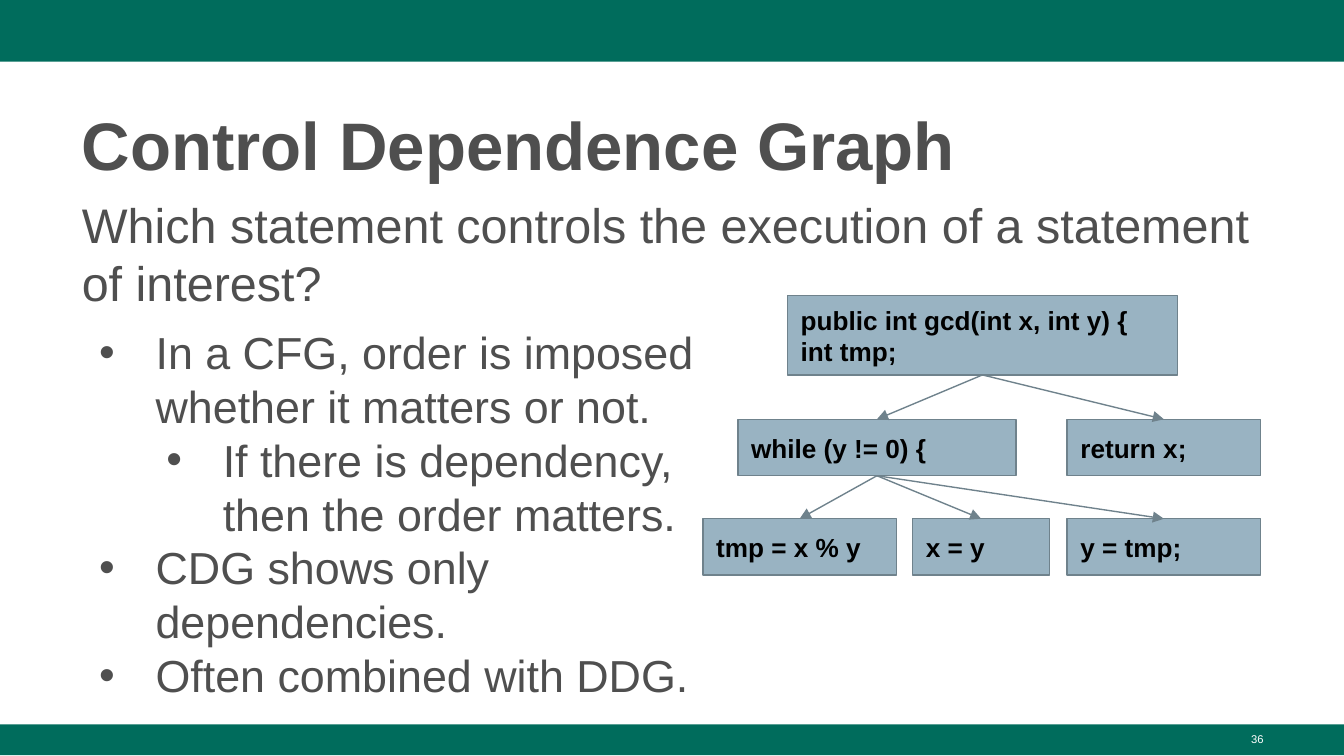
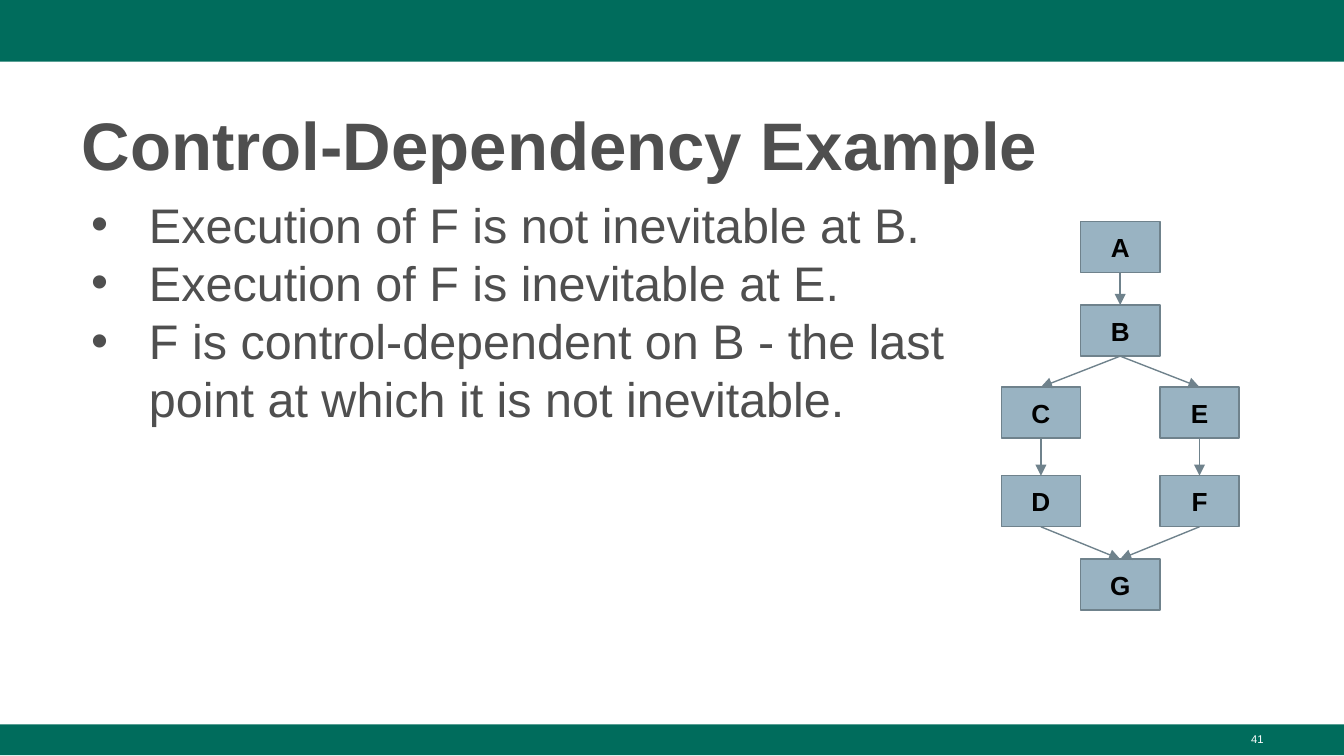
from lxml.etree import SubElement
from pptx import Presentation
from pptx.dml.color import RGBColor
from pptx.enum.shapes import MSO_CONNECTOR as Connector, MSO_SHAPE as Shape
from pptx.enum.text import MSO_ANCHOR as Anchor, MSO_AUTO_SIZE as AutoSize, PP_ALIGN as Align
from pptx.oxml.ns import qn
from pptx.util import Inches, Pt

FONT = "Arial"
GREEN = "006C5C"
GREY = "4F4F4F"
NODE_FILL = "99B3C2"
NODE_LINE = "6F828C"
BLACK = "000000"
WHITE = "FFFFFF"
TITLE_ONLY = 5
SLIDE_WIDTH = 10
SLIDE_HEIGHT = SLIDE_WIDTH * 9 / 16
BANDS = [(0, 0.46), (5.39, 0.23)]
TEXT_LEFT = 0.51
TEXT_TOP = 1.4
TEXT_WIDTH = 8.99
BOTTOM, TOP = 2, 0


def color(value):
    return RGBColor.from_string(value)


def box(left, top, width, height):
    return [Inches(value) for value in (left, top, width, height)]


def style_paragraph(paragraph, size, font_color, bold=False, align=Align.LEFT):
    paragraph.alignment = align
    font = paragraph.font
    font.name = FONT
    font.size = Pt(size)
    font.bold = bold
    font.color.rgb = color(font_color)


def add_bullet(paragraph, left, hanging):
    properties = paragraph._p.get_or_add_pPr()
    properties.set("marL", str(Inches(left)))
    properties.set("indent", str(-Inches(hanging)))
    bullet_color = SubElement(properties, qn("a:buClr"))
    SubElement(bullet_color, qn("a:srgbClr"), val=GREY)
    SubElement(properties, qn("a:buFont"), typeface=FONT)
    SubElement(properties, qn("a:buChar"), char="•")


def add_rectangle(slide, position, fill):
    shape = slide.shapes.add_shape(Shape.RECTANGLE, *box(*position))
    shape.shadow.inherit = False
    shape.fill.solid()
    shape.fill.fore_color.rgb = color(fill)
    shape.line.fill.background()
    return shape


def add_text(slide, position, items, size, font_color=GREY, align=Align.LEFT, hanging=None):
    frame = slide.shapes.add_textbox(*box(*position)).text_frame
    frame.word_wrap = True
    for index, (level, text) in enumerate(items):
        paragraph = frame.add_paragraph() if index else frame.paragraphs[0]
        paragraph.text = text
        paragraph.level = level
        if hanging:
            add_bullet(paragraph, 0.5 * (level + 1), hanging)
        style_paragraph(paragraph, size, font_color, align=align)


def add_slide(presentation, title_text, number):
    slide = presentation.slides.add_slide(presentation.slide_layouts[TITLE_ONLY])
    for top, height in BANDS:
        add_rectangle(slide, (0, top, SLIDE_WIDTH, height), GREEN)
    title = slide.shapes.title
    title.left, title.top, title.width, title.height = box(TEXT_LEFT, 0.67, TEXT_WIDTH, 0.73)
    frame = title.text_frame
    frame.text = title_text
    frame.auto_size = AutoSize.NONE
    frame.vertical_anchor = Anchor.BOTTOM
    frame.margin_bottom = Inches(0.03)
    paragraph = frame.paragraphs[0]
    paragraph.line_spacing = 1.08
    style_paragraph(paragraph, 36, GREY, bold=True)
    add_text(slide, (7.17, 5.4, 2.33, 0.23), [(0, str(number))], 6, WHITE, Align.RIGHT)
    return slide


def add_node(slide, text, position, align):
    node = add_rectangle(slide, position, NODE_FILL)
    node.line.color.rgb = color(NODE_LINE)
    node.line.width = Pt(0.75)
    frame = node.text_frame
    frame.word_wrap = True
    frame.vertical_anchor = Anchor.MIDDLE
    frame.margin_left = frame.margin_right = Inches(0.1)
    frame.margin_top = frame.margin_bottom = Inches(0.1)
    frame.text = text
    for paragraph in frame.paragraphs:
        style_paragraph(paragraph, 14, BLACK, bold=True, align=align)
    return node


def add_arrow(slide, source, target):
    arrow = slide.shapes.add_connector(Connector.STRAIGHT, 0, 0, 0, 0)
    arrow.begin_connect(source, BOTTOM)
    arrow.end_connect(target, TOP)
    arrow.line.color.rgb = color(NODE_LINE)
    arrow.line.width = Pt(0.75)
    SubElement(arrow.line._get_or_add_ln(), qn("a:tailEnd"), type="triangle")
    SubElement(arrow._element.spPr, qn("a:effectLst"))


def add_graph(slide, nodes, edges, align):
    shapes = {name: add_node(slide, text, position, align)
              for name, (text, position) in nodes.items()}
    for source, target in edges:
        add_arrow(slide, shapes[source], shapes[target])


def build_dependence_graph(presentation):
    slide = add_slide(presentation, "Control Dependence Graph", 36)
    question = "Which statement controls the execution of a statement of interest?"
    add_text(slide, (TEXT_LEFT, TEXT_TOP, TEXT_WIDTH, 3.81), [(0, question)], 26)
    points = [
        (0, "In a CFG, order is imposed whether it matters or not."),
        (1, "If there is dependency, \vthen the order matters."),
        (0, "CDG shows only dependencies."),
        (0, "Often combined with DDG."),
    ]
    add_text(slide, (0.56, 2.37, 5, 2.38), points, 24, hanging=0.42)
    height, middle, low, right = 0.42, 3.12, 3.86, 7.94
    nodes = {
        "entry": ("public int gcd(int x, int y) {\nint tmp;", (5.86, 2.2, 2.9, 0.59)),
        "modulo": ("tmp = x % y", (5.23, low, 1.44, height)),
        "set y": ("y = tmp;", (right, low, 1.44, height)),
        "while": ("while (y != 0) {", (5.49, middle, 2.07, height)),
        "set x": ("x = y", (6.79, low, 1.02, height)),
        "return": ("return x;", (right, middle, 1.44, height)),
    }
    edges = [("entry", "return"), ("entry", "while"), ("while", "modulo"),
             ("while", "set x"), ("while", "set y")]
    add_graph(slide, nodes, edges, Align.LEFT)


def build_dependency_example(presentation):
    slide = add_slide(presentation, "Control-Dependency Example", 41)
    points = [
        (0, "Execution of F is not inevitable at B."),
        (0, "Execution of F is inevitable at E."),
        (0, "F is control-dependent on B - the last point at which it is not inevitable."),
    ]
    add_text(slide, (TEXT_LEFT, TEXT_TOP, 6.65, 3.81), points, 26, hanging=0.43)
    left, width, height = 7.45, 0.59, 0.38
    rows = [(1.65, {"A": 1}), (2.27, {"B": 1}), (2.88, {"C": 0, "E": 2}),
            (3.54, {"D": 0, "F": 2}), (4.16, {"G": 1})]
    nodes = {name: (name, (left + column * width, top, width, height))
             for top, columns in rows for name, column in columns.items()}
    add_graph(slide, nodes, ["AB", "BC", "BE", "CD", "EF", "DG", "FG"], Align.CENTER)


def main():
    presentation = Presentation()
    presentation.slide_width = Inches(SLIDE_WIDTH)
    presentation.slide_height = Inches(SLIDE_HEIGHT)
    build_dependence_graph(presentation)
    build_dependency_example(presentation)
    presentation.save("out.pptx")


if __name__ == "__main__":
    main()
